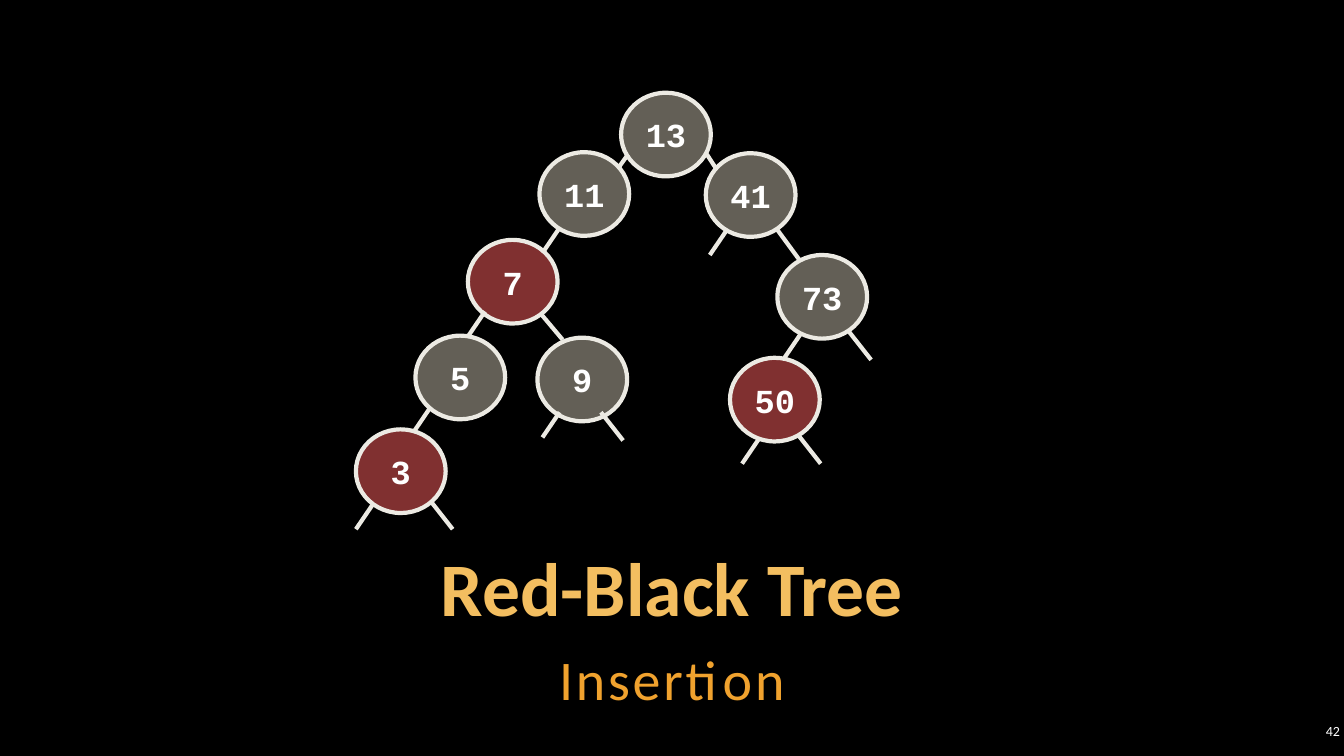
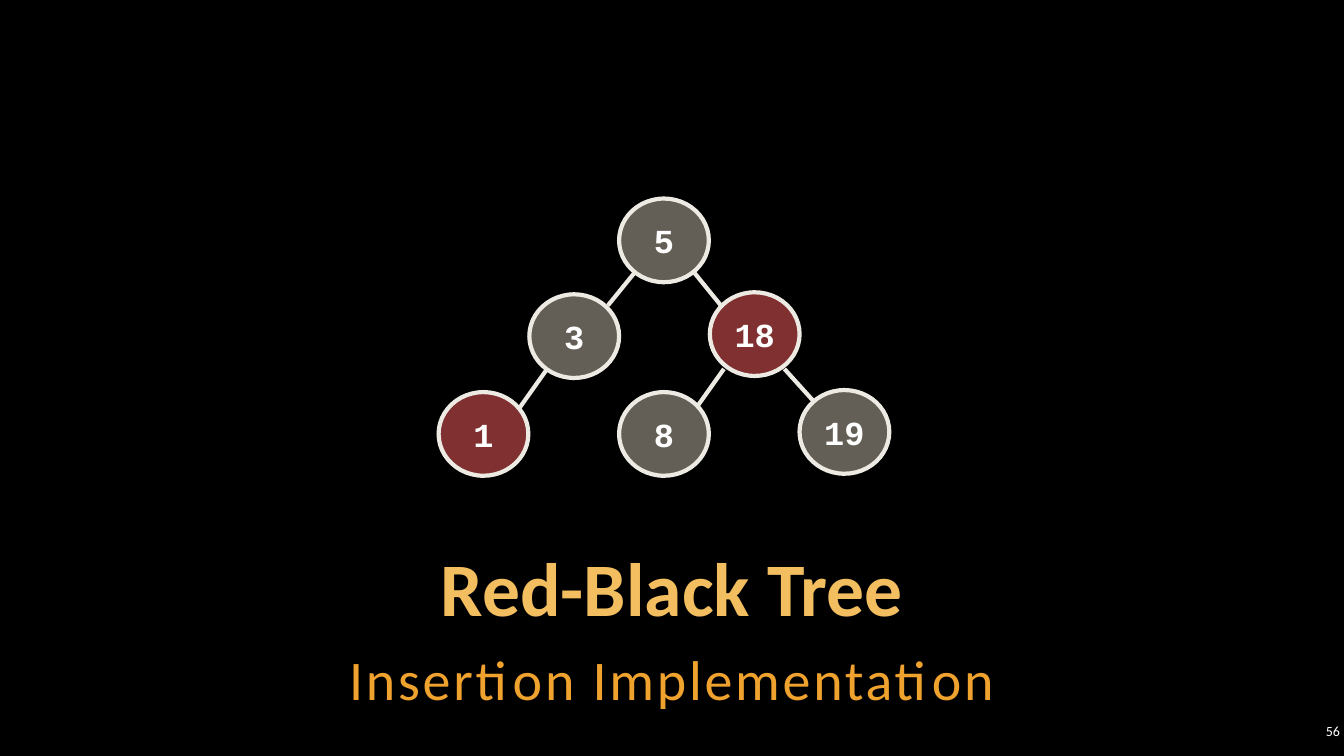
import pptx
import pptx.dml.color
import pptx.enum.shapes
import pptx.enum.text
import pptx.oxml.ns
import pptx.util
from lxml import etree

Inches, Pt = pptx.util.Inches, pptx.util.Pt
ALIGN, ANCHOR = pptx.enum.text.PP_ALIGN, pptx.enum.text.MSO_ANCHOR

COLORS = {
    "background": "000000", "title": "F3BE60", "subtitle": "F0A22E",
    "text": "FFFFFF", "outline": "ECEAE3", "black": "C7BFAC", "red": "FF6161",
}
NODE_SIZE = (0.89, 0.83)
LEFT, RIGHT = (-0.17, 0.25), (0.22, 0.28)  # usual branch, as width and drop

# Nodes: value, colour, left, top. Branches: start x, start y, (width, drop).
SLIDES = [
    {
        "title": "Red-Black Tree", "subtitle": "Insertion", "number": "42",
        "nodes": [
            (13, "black", 6.16, 0.92), (41, "black", 7.00, 1.52),
            (73, "black", 7.71, 2.53), (11, "black", 5.35, 1.51),
            (50, "red", 7.24, 3.55), (7, "red", 4.64, 2.38),
            (9, "black", 5.33, 3.35), (5, "black", 4.12, 3.33),
            (3, "red", 3.53, 4.26),
        ],
        "branches_behind": [
            (7.71, 2.28, (0.22, 0.30)), (7.01, 1.53, (0.09, 0.14)),
            (6.23, 1.53, (-0.10, 0.14)), (7.95, 3.30, LEFT),
        ],
        "branches_front": [
            (8.42, 3.29, RIGHT), (7.21, 2.28, LEFT), (5.55, 2.26, LEFT),
            (5.37, 3.12, (0.21, 0.25)), (4.81, 3.09, LEFT),
            (4.27, 4.04, LEFT), (3.70, 5.00, LEFT), (5.55, 4.09, LEFT),
            (7.53, 4.35, LEFT), (7.92, 4.32, RIGHT), (5.96, 4.09, RIGHT),
            (4.27, 4.97, RIGHT),
        ],
    },
    {
        "title": "Red-Black Tree", "subtitle": "Insertion Implementation",
        "number": "56",
        "nodes": [
            (19, "black", 7.93, 3.87), (3, "black", 5.25, 2.92),
            (1, "red", 4.35, 3.89), (5, "black", 6.14, 1.97),
            (18, "red", 7.04, 2.90), (8, "black", 6.14, 3.89),
        ],
        "branches_behind": [(7.78, 3.66, (0.28, 0.31))],
        "branches_front": [
            (6.29, 2.71, (-0.26, 0.32)), (6.89, 2.71, (0.26, 0.32)),
            (5.42, 3.67, (-0.27, 0.38)), (7.18, 3.66, (-0.27, 0.38)),
        ],
    },
]

# Shared text: place, anchor, alignment, size, colour, bold, line spacing
TEXT_STYLES = {
    "title": ((1, 5.42, 11.33, 0.9), ANCHOR.BOTTOM, ALIGN.CENTER, 54, "title", True, 0.9),
    "subtitle": ((1, 6.29, 11.33, 0.79), ANCHOR.TOP, ALIGN.CENTER, 40, "subtitle", False, 1.1),
    "number": ((12.86, 7.14, 0.47, 0.22), ANCHOR.MIDDLE, ALIGN.RIGHT, 10, "text", False, 1.0),
}


def color(name):
    return pptx.dml.color.RGBColor.from_string(COLORS[name])


def write(shape, text, font, size, color_name, bold, align, anchor):
    frame = shape.text_frame
    frame.text = text
    frame.vertical_anchor = anchor
    para = frame.paragraphs[0]
    para.alignment = align
    span = para.runs[0]
    span.font.name, span.font.size, span.font.bold = font, Pt(size), bold
    span.font.color.rgb = color(color_name)
    return para


def outline(shape):
    shape.line.color.rgb = color("outline")
    shape.line.width = Pt(3)


def add_text(page, kind, text):
    place, anchor, align, size, color_name, bold, spacing = TEXT_STYLES[kind]
    box = page.shapes.add_textbox(*map(Inches, place))
    frame = box.text_frame
    frame.word_wrap = True
    frame.margin_left = frame.margin_right = Inches(0.04)
    frame.margin_top = frame.margin_bottom = Inches(0.04)
    para = write(box, text, "Calibri", size, color_name, bold, align, anchor)
    para.line_spacing = spacing
    if kind == "subtitle":
        para.space_after = Pt(6)
        para.runs[0].font._element.set("spc", "200")  # letter spacing


def add_node(page, value, color_name, left, top):
    node = page.shapes.add_shape(
        pptx.enum.shapes.MSO_SHAPE.OVAL, *map(Inches, (left, top, *NODE_SIZE)))
    node.shadow.inherit = False
    node.fill.solid()
    node.fill.fore_color.rgb = color(color_name)
    # Half-transparent fill
    tint = node._element.spPr.find(".//" + pptx.oxml.ns.qn("a:srgbClr"))
    etree.SubElement(tint, pptx.oxml.ns.qn("a:alpha"), val="50000")
    outline(node)
    node.text_frame.word_wrap = False
    write(node, str(value), "Courier New", 24, "text", True, ALIGN.CENTER, ANCHOR.MIDDLE)


def add_branch(page, x, y, reach):
    ends = (x, y, x + reach[0], y + reach[1])
    branch = page.shapes.add_connector(
        pptx.enum.shapes.MSO_CONNECTOR.STRAIGHT, *map(Inches, ends))
    outline(branch)
    etree.SubElement(branch._element.spPr, pptx.oxml.ns.qn("a:effectLst"))


def main():
    deck = pptx.Presentation()
    deck.slide_width, deck.slide_height = Inches(13.33), Inches(7.5)
    backdrop = deck.slide_master.background.fill
    backdrop.solid()
    backdrop.fore_color.rgb = color("background")

    for content in SLIDES:
        page = deck.slides.add_slide(deck.slide_layouts[6])
        for kind in TEXT_STYLES:
            add_text(page, kind, content[kind])
        # Tree
        for branch in content["branches_behind"]:
            add_branch(page, *branch)
        for node in content["nodes"]:
            add_node(page, *node)
        for branch in content["branches_front"]:
            add_branch(page, *branch)

    deck.save("out.pptx")


if __name__ == "__main__":
    main()
